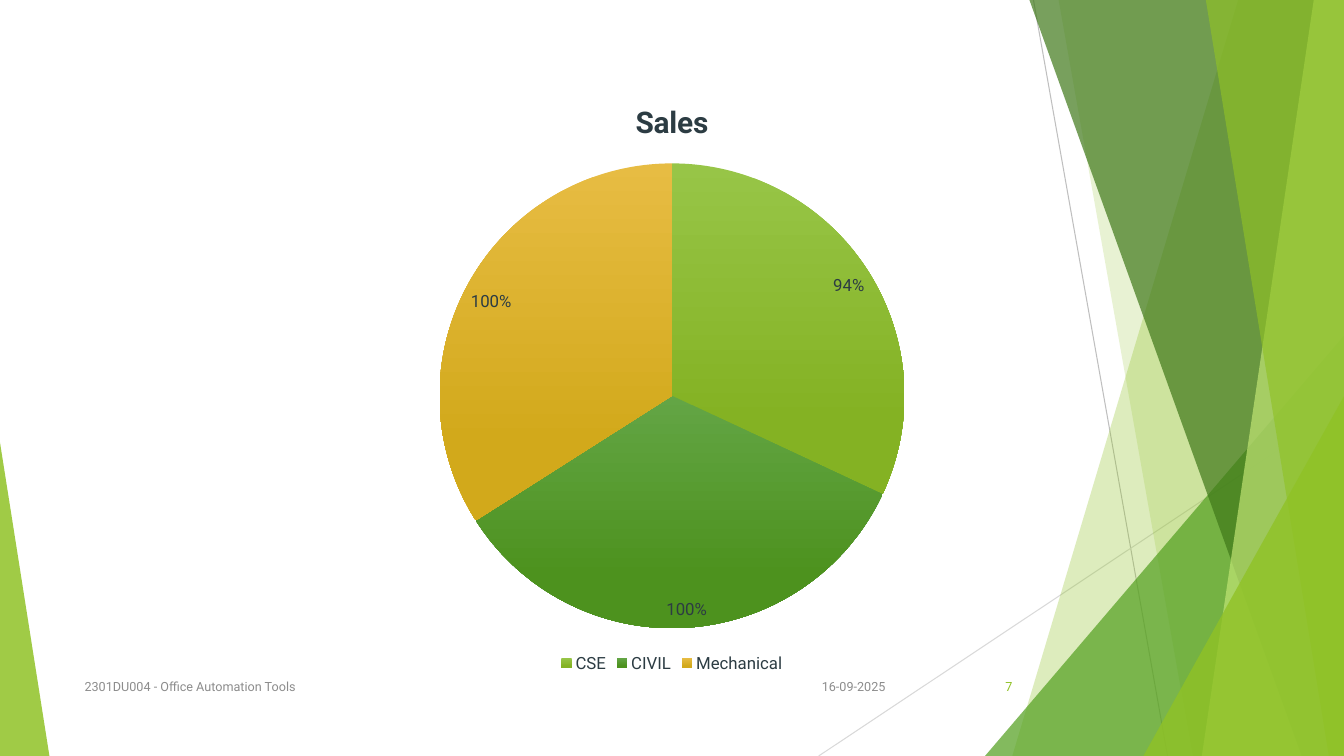
from dataclasses import dataclass

from lxml import etree
from pptx import Presentation
from pptx.chart.data import CategoryChartData
from pptx.dml.color import RGBColor
from pptx.enum.chart import XL_CHART_TYPE, XL_LABEL_POSITION, XL_LEGEND_POSITION
from pptx.enum.shapes import MSO_CONNECTOR, MSO_SHAPE
from pptx.enum.text import MSO_ANCHOR, PP_ALIGN
from pptx.oxml.ns import qn
from pptx.util import Inches, Pt

PIE = XL_CHART_TYPE.PIE
BEST = XL_LABEL_POSITION.BEST_FIT
BOTTOM = XL_LEGEND_POSITION.BOTTOM
STRAIGHT = MSO_CONNECTOR.STRAIGHT
TRIANGLE = MSO_SHAPE.ISOSCELES_TRIANGLE
MIDDLE = MSO_ANCHOR.MIDDLE
LEFT, RIGHT = PP_ALIGN.LEFT, PP_ALIGN.RIGHT
WIDE, HIGH = 13.33, 7.5


@dataclass(frozen=True)
class Theme:
    face: str = "Roboto"
    lime: str = "90C226"
    green: str = "54A021"
    forest: str = "3F7819"
    pale: str = "C0E474"
    rule: str = "BFBFBF"
    faint: str = "D9D9D9"
    ink: str = "2C3C43"
    muted: str = "8C8C8C"
    slices: tuple = (("97C547", "84B223"), ("63A545", "4D921E"), ("E7BC43", "D2A91B"))
    small: float = 9
    label: float = 12
    title: float = 21.3


THEME = Theme()


def rgb(code):
    return RGBColor.from_string(code)


def style(font, size, color, bold=False):
    font.name = THEME.face
    font.size = Pt(size)
    font.bold = bold
    font.color.rgb = rgb(color)


def paint(shape, color, alpha):
    shape.shadow.inherit = False
    shape.line.fill.background()
    shape.fill.solid()
    shape.fill.fore_color.rgb = rgb(color)
    tint = shape.fill._xPr.find(".//" + qn("a:srgbClr"))
    etree.SubElement(tint, qn("a:alpha")).set("val", str(alpha * 1000))


def add_rule(slide, start, end, color):
    line = slide.shapes.add_connector(STRAIGHT, *map(Inches, start + end))
    line.line.color.rgb = rgb(color)
    line.line.width = Pt(0.75)
    etree.SubElement(line._element.spPr, qn("a:effectLst"))


def add_band(slide, top, foot, color, alpha):
    pen = slide.shapes.build_freeform(Inches(top), 0)
    corners = [(WIDE, 0), (WIDE, HIGH), (foot, HIGH)]
    pen.add_line_segments([(Inches(x), Inches(y)) for x, y in corners])
    paint(pen.convert_to_shape(), color, alpha)


def add_wedge(slide, left, top, width, apex, color, alpha):
    box = map(Inches, (left, top, width, HIGH - top))
    wedge = slide.shapes.add_shape(TRIANGLE, *box)
    wedge.adjustments[0] = apex
    paint(wedge, color, alpha)


def add_note(slide, left, width, text, color, align):
    box = slide.shapes.add_textbox(Inches(left), Inches(6.61), Inches(width), Inches(0.4))
    frame = box.text_frame
    frame.word_wrap = True
    frame.vertical_anchor = MIDDLE
    line = frame.paragraphs[0]
    line.text = text
    line.alignment = align
    style(line.font, THEME.small, color)


def shade(fill, colors):
    fill.gradient()
    fill.gradient_angle = 270
    for stop, spot, color in zip(fill.gradient_stops, (0, 0.78), colors):
        stop.position = spot
        stop.color.rgb = rgb(color)


def add_pie(slide):
    data = CategoryChartData(number_format="0%")
    data.categories = ["CSE", "CIVIL", "Mechanical"]
    data.add_series("Sales", (0.94, 1, 1))
    box = map(Inches, (2.22, 0.79, 8.89, 5.93))
    chart = slide.shapes.add_chart(PIE, *box, data).chart
    style(chart.font, THEME.label, THEME.ink)

    chart.has_title = True
    title = chart.chart_title
    title.include_in_layout = False
    head = title.text_frame.paragraphs[0]
    head.text = "Sales"
    style(head.font, THEME.title, THEME.ink, True)

    chart.has_legend = True
    chart.legend.position = BOTTOM
    chart.legend.include_in_layout = False
    style(chart.legend.font, THEME.label, THEME.ink)

    plot = chart.plots[0]
    plot.vary_by_categories = True
    plot.has_data_labels = True
    labels = plot.data_labels
    labels.show_value = True
    labels.show_percentage = False
    labels.number_format = "0%"
    labels.number_format_is_linked = False
    labels.position = BEST
    style(labels.font, THEME.label, THEME.ink)
    for i, colors in enumerate(THEME.slices):
        form = plot.series[0].points[i].format
        shade(form.fill, colors)
        form.line.fill.background()


def add_decor(slide):
    add_rule(slide, (10.25, 0), (11.58, HIGH), THEME.rule)
    add_rule(slide, (WIDE, 4.03), (8.12, HIGH), THEME.faint)
    add_band(slide, 12.28, 10.04, THEME.lime, 30)
    add_band(slide, 10.5, 11.83, THEME.lime, 20)
    add_wedge(slide, 9.77, 3.33, 3.56, 1, THEME.green, 72)
    add_band(slide, 10.21, 12.91, THEME.forest, 70)
    add_band(slide, 13.03, 11.92, THEME.pale, 70)
    add_band(slide, 11.96, 13.18, THEME.lime, 65)
    add_wedge(slide, 11.34, 3.93, 1.99, 1, THEME.lime, 80)
    add_wedge(slide, 0, 4.39, 0.49, 0, THEME.lime, 85)


def main():
    deck = Presentation()
    deck.slide_width = Inches(WIDE)
    deck.slide_height = Inches(HIGH)
    slide = deck.slides.add_slide(deck.slide_layouts[6])
    add_decor(slide)
    add_note(slide, 7.88, 1, "16-09-2025", THEME.muted, RIGHT)
    add_note(slide, 0.74, 6.89, "2301DU004 - Office Automation Tools", THEME.muted, LEFT)
    add_note(slide, 9.39, 0.75, "7", THEME.lime, RIGHT)
    add_pie(slide)
    deck.save("out.pptx")


if __name__ == "__main__":
    main()
